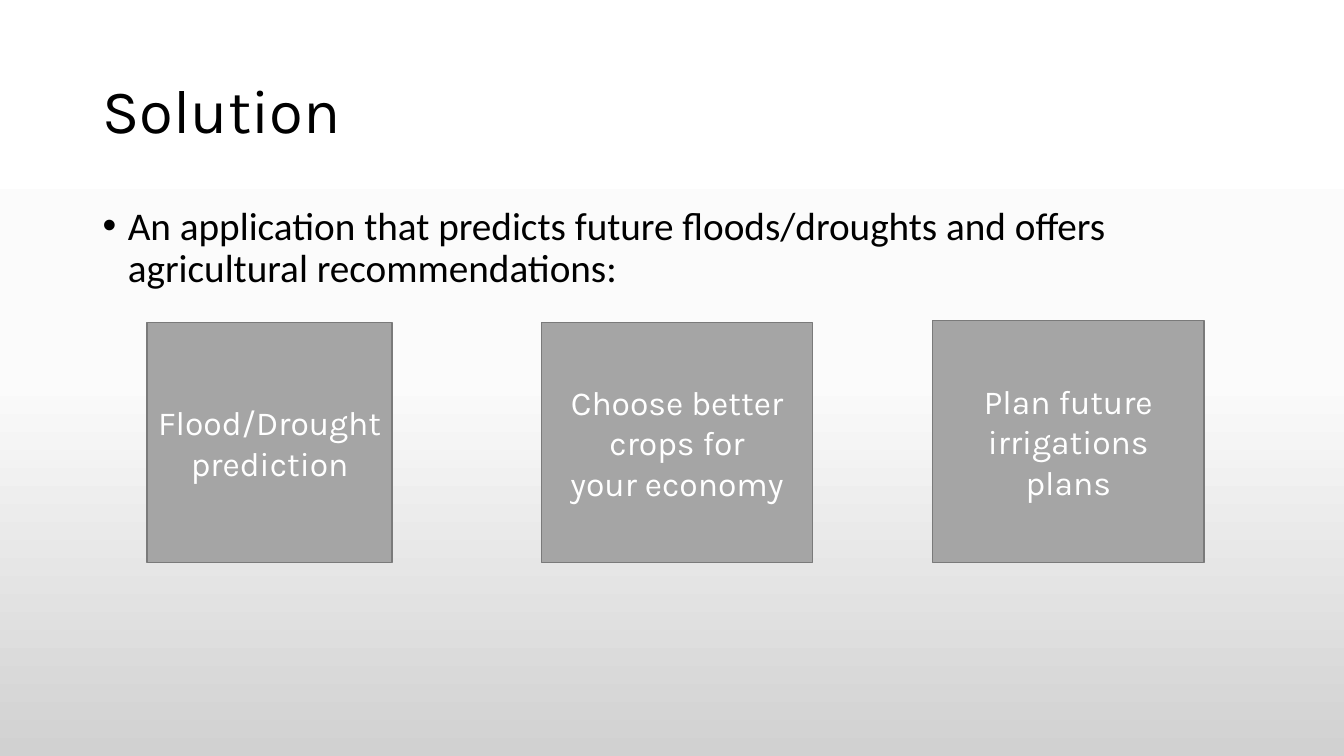
from copy import deepcopy
from lxml.etree import SubElement
from pptx import Presentation
from pptx.dml.color import RGBColor
from pptx.enum.shapes import MSO_SHAPE
from pptx.enum.text import MSO_ANCHOR, PP_ALIGN
from pptx.oxml.ns import qn
from pptx.util import Inches, Pt

COLORS = {
    "top": "FFFFFF",
    "middle": "FBFBFB",
    "bottom": "D1D1D1",
    "ink": "000000",
    "card": "A5A5A5",
    "edge": "7A7A7A",
    "label": "FFFFFF",
}

CARDS = [
    (1.46, 3.2, 2.43, ["Flood/Drought", "prediction"]),
    (5.37, 3.2, 2.69, ["Choose better", "crops for", "your economy"]),
    (9.25, 3.18, 2.69, ["Plan future", "irrigations plans"]),
]
CARD_BASE = 5.58


def color(name):
    return RGBColor.from_string(COLORS[name])


def add_run(para, text, size, font, ink):
    run = para.add_run()
    run.text = text
    run.font.size = Pt(size)
    run.font.name = font
    run.font.color.rgb = color(ink)


def paint_back(slide):
    fill = slide.background.fill
    fill.gradient()
    fill.gradient_angle = 270
    stops = slide.element.find(".//" + qn("a:gsLst"))
    stops.append(deepcopy(stops[-1]))
    names = ["top", "middle", "bottom"]
    for stop, name, place in zip(fill.gradient_stops, names, [0, 0.5, 1]):
        stop.color.rgb = color(name)
        stop.position = place


def add_text(slide, top, height, text, size, font, anchor):
    box = slide.shapes.add_textbox(
        Inches(0.92), Inches(top), Inches(11.5), Inches(height))
    frame = box.text_frame
    frame.word_wrap = True
    frame.vertical_anchor = anchor
    para = frame.paragraphs[0]
    para.line_spacing = 0.9
    add_run(para, text, size, font, "ink")
    return para


def add_bullet(para):
    props = para._p.get_or_add_pPr()
    props.set("marL", str(Inches(0.25)))
    props.set("indent", str(-Inches(0.25)))
    SubElement(props, qn("a:buFont")).set("typeface", "Arial")
    SubElement(props, qn("a:buChar")).set("char", "•")


def add_card(slide, left, top, width, lines):
    card = slide.shapes.add_shape(
        MSO_SHAPE.RECTANGLE, Inches(left), Inches(top),
        Inches(width), Inches(CARD_BASE - top))
    card.shadow.inherit = False
    card.fill.solid()
    card.fill.fore_color.rgb = color("card")
    card.line.color.rgb = color("edge")
    card.line.width = Pt(1)
    frame = card.text_frame
    frame.word_wrap = True
    frame.vertical_anchor = MSO_ANCHOR.MIDDLE
    for index, line in enumerate(lines):
        para = frame.add_paragraph() if index else frame.paragraphs[0]
        para.alignment = PP_ALIGN.CENTER
        add_run(para, line, 24, "Karla", "label")


def main():
    deck = Presentation()
    deck.slide_width = Inches(13.33)
    deck.slide_height = Inches(7.5)
    slide = deck.slides.add_slide(deck.slide_layouts[6])
    paint_back(slide)
    add_text(slide, 0.4, 1.45, "Solution", 44, "Karla", MSO_ANCHOR.MIDDLE)
    intro = add_text(
        slide, 2, 4.76,
        "An application that predicts future floods/droughts and offers "
        "agricultural recommendations:", 28, "Calibri", MSO_ANCHOR.TOP)
    add_bullet(intro)
    for card in CARDS:
        add_card(slide, *card)
    deck.save("out.pptx")


if __name__ == "__main__":
    main()
